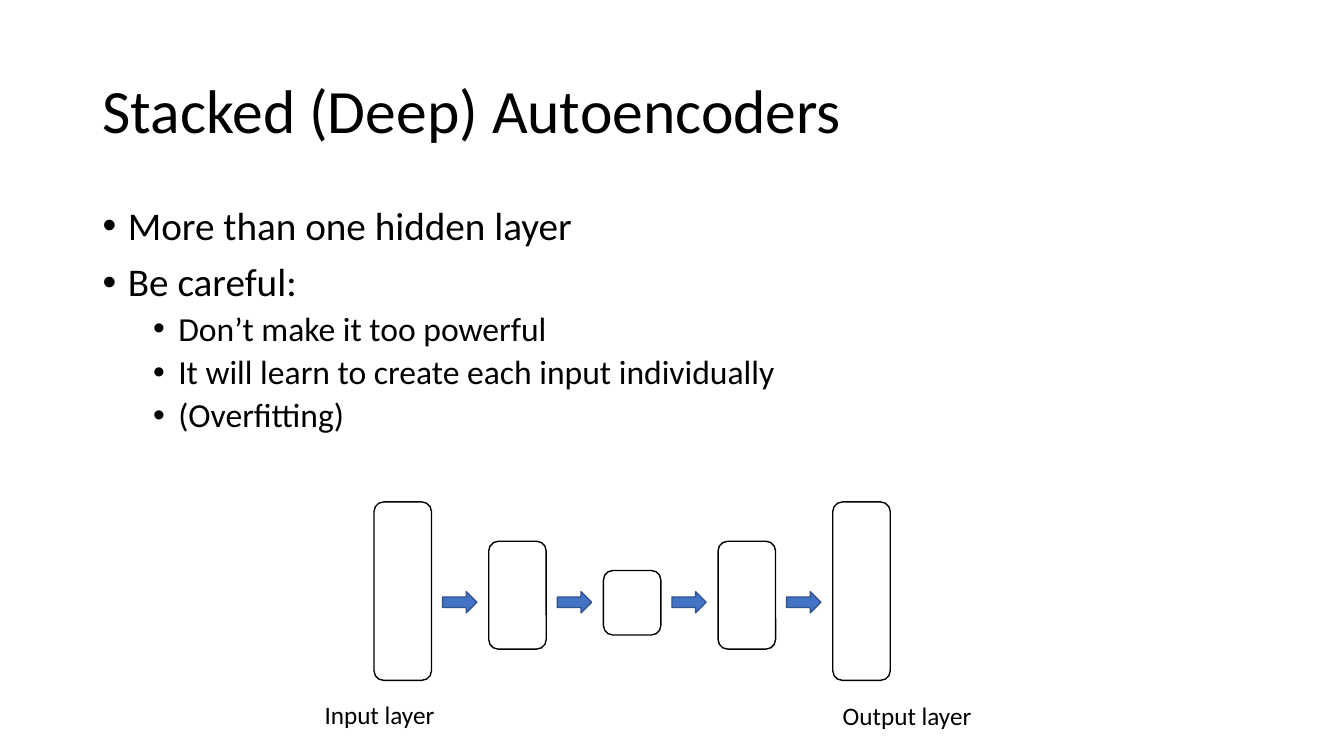
from dataclasses import dataclass

from lxml import etree
from pptx import Presentation
from pptx import util as u
from pptx.dml.color import RGBColor
from pptx.enum import shapes, text
from pptx.oxml.ns import qn


@dataclass(frozen=True)
class Theme:
    font: str = "Calibri"
    bullet_font: str = "Arial"
    ink: str = "000000"
    paper: str = "FFFFFF"
    arrow_fill: str = "4472C4"
    arrow_line: str = "325491"
    title_size: int = 44
    body_sizes: tuple[int, int] = (28, 24)
    label_size: int = 18
    line_width: int = 1


@dataclass(frozen=True)
class Box:
    left: float
    top: float
    width: float
    height: float

    def emu(self) -> list[u.Length]:
        return [u.Inches(v) for v in (self.left, self.top, self.width, self.height)]


@dataclass(frozen=True)
class Bullet:
    words: str
    level: int = 0


@dataclass(frozen=True)
class Layer:
    top: float
    height: float


@dataclass(frozen=True)
class Label:
    words: str
    left: float
    top: float


THEME = Theme()
TITLE_BOX = Box(0.92, 0.4, 11.5, 1.45)
BODY_BOX = Box(0.92, 2, 11.5, 4.76)
BULLETS = [
    Bullet("More than one hidden layer"),
    Bullet("Be careful:"),
    Bullet("Don’t make it too powerful", 1),
    Bullet("It will learn to create each input individually", 1),
    Bullet("(Overfitting)", 1),
]

OUTER, MIDDLE, CODE = Layer(4.98, 1.77), Layer(5.37, 1.07), Layer(5.66, 0.64)
LAYERS = [OUTER, MIDDLE, CODE, MIDDLE, OUTER]
FIRST_LEFT, LAST_LEFT, LAYER_WIDTH = 3.71, 8.26, 0.57
PITCH = (LAST_LEFT - FIRST_LEFT) / (len(LAYERS) - 1)
ARROW = Box(FIRST_LEFT + 0.68, 5.87, 0.34, 0.21)
LABELS = [Label("Input layer", 3.12, 6.89), Label("Output layer", LAST_LEFT, 6.9)]


def add_text_frame(s, box: Box):
    tf = s.shapes.add_textbox(*box.emu()).text_frame
    tf.word_wrap = True
    return tf


def add_run(p, words: str, size: int) -> None:
    r = p.add_run()
    r.text = words
    r.font.name = THEME.font
    r.font.size = u.Pt(size)
    r.font.color.rgb = RGBColor.from_string(THEME.ink)


def set_bullet(p, level: int) -> None:
    """Give the paragraph a hanging bullet, indented by its level."""
    p.level = level
    p_pr = p._p.get_or_add_pPr()
    p_pr.set("marL", str(u.Inches(0.25 + 0.5 * level)))
    p_pr.set("indent", str(u.Inches(-0.25)))
    etree.SubElement(p_pr, qn("a:buFont")).set("typeface", THEME.bullet_font)
    etree.SubElement(p_pr, qn("a:buChar")).set("char", "•")


def add_title(s, words: str) -> None:
    tf = add_text_frame(s, TITLE_BOX)
    tf.vertical_anchor = text.MSO_ANCHOR.MIDDLE
    p = tf.paragraphs[0]
    p.line_spacing = 0.9
    add_run(p, words, THEME.title_size)


def add_bullets(s, bullets: list[Bullet]) -> None:
    tf = add_text_frame(s, BODY_BOX)
    for i, bullet in enumerate(bullets):
        p = tf.add_paragraph() if i else tf.paragraphs[0]
        p.line_spacing = 0.9
        p.space_before = u.Pt(5 if bullet.level else 10)
        set_bullet(p, bullet.level)
        add_run(p, bullet.words, THEME.body_sizes[bullet.level])


def add_block(s, kind: shapes.MSO_SHAPE, box: Box, fill: str, line: str) -> None:
    sp = s.shapes.add_shape(kind, *box.emu())
    sp.shadow.inherit = False
    sp.fill.solid()
    sp.fill.fore_color.rgb = RGBColor.from_string(fill)
    sp.line.color.rgb = RGBColor.from_string(line)
    sp.line.width = u.Pt(THEME.line_width)


def add_network(s) -> None:
    for i, layer in enumerate(LAYERS):
        box = Box(FIRST_LEFT + i * PITCH, layer.top, LAYER_WIDTH, layer.height)
        add_block(s, shapes.MSO_SHAPE.ROUNDED_RECTANGLE, box, THEME.paper, THEME.ink)
    for i in range(len(LAYERS) - 1):
        box = Box(ARROW.left + i * PITCH, ARROW.top, ARROW.width, ARROW.height)
        add_block(s, shapes.MSO_SHAPE.RIGHT_ARROW, box, THEME.arrow_fill, THEME.arrow_line)


def add_label(s, label: Label) -> None:
    tf = add_text_frame(s, Box(label.left, label.top, 1.49, 0.4))
    tf.auto_size = text.MSO_AUTO_SIZE.SHAPE_TO_FIT_TEXT
    add_run(tf.paragraphs[0], label.words, THEME.label_size)


def main() -> None:
    prs = Presentation()
    prs.slide_width, prs.slide_height = u.Inches(13.33), u.Inches(7.5)
    s = prs.slides.add_slide(prs.slide_layouts[6])
    add_title(s, "Stacked (Deep) Autoencoders")
    add_bullets(s, BULLETS)
    add_network(s)
    for label in LABELS:
        add_label(s, label)
    prs.save("out.pptx")


if __name__ == "__main__":
    main()
